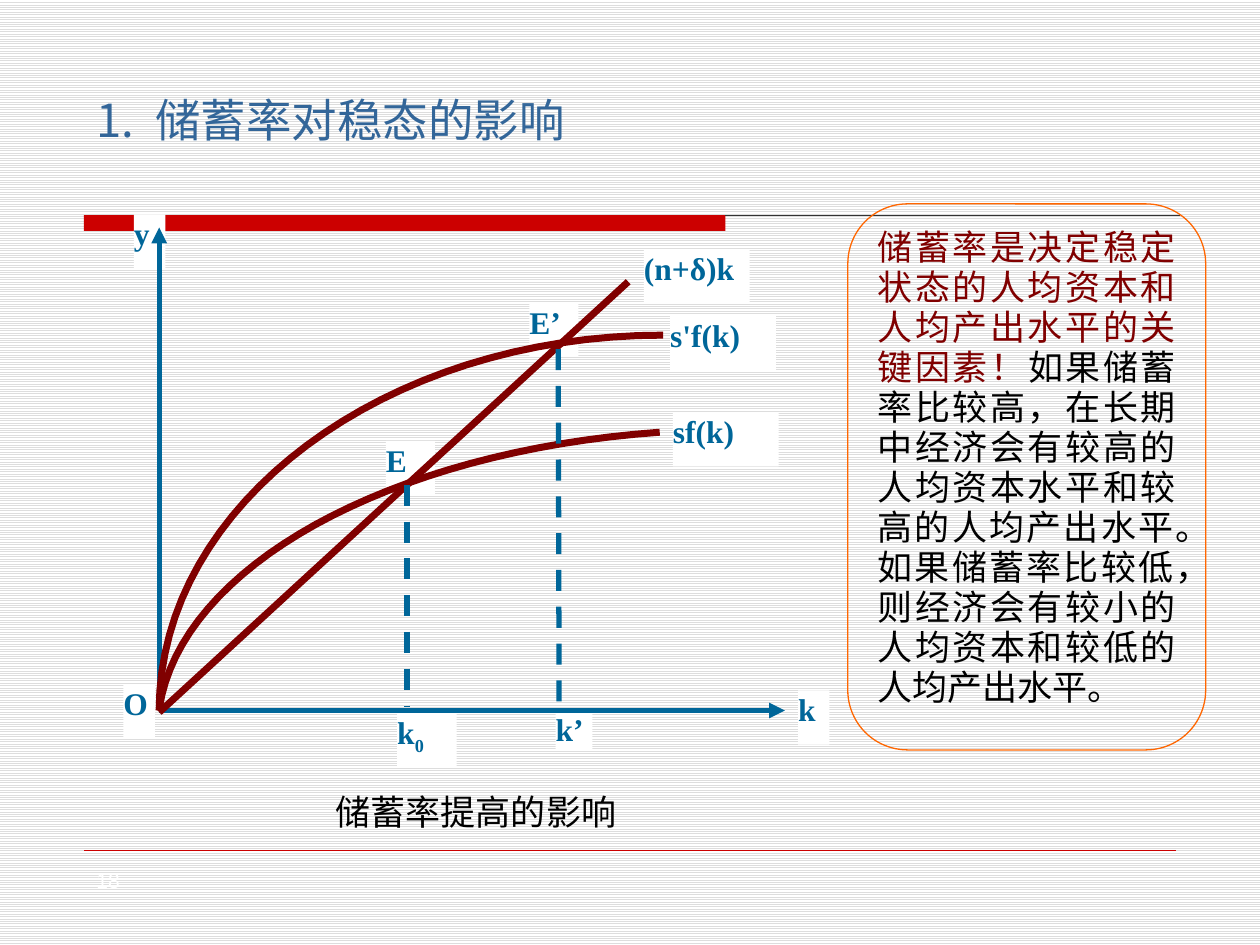
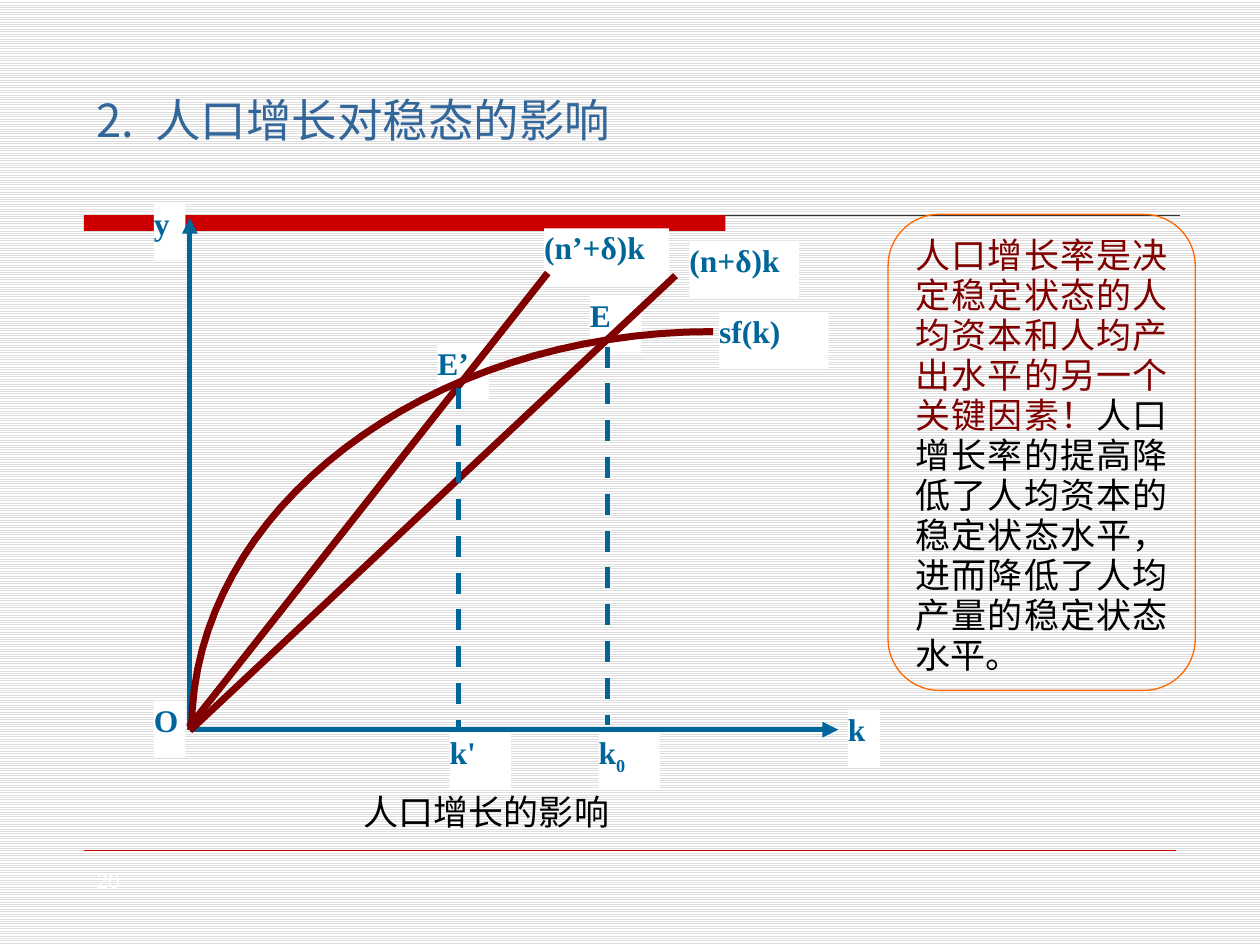
from lxml import etree
from pptx import Presentation
from pptx.dml.color import RGBColor
from pptx.enum import dml, shapes, text
from pptx.oxml import ns
from pptx.util import Pt

RED = RGBColor(0xCC, 0x00, 0x00)
MAROON = RGBColor(0x80, 0x00, 0x00)
TEAL = RGBColor(0x00, 0x66, 0x99)
TITLE_BLUE = RGBColor(0x33, 0x66, 0x99)
ORANGE = RGBColor(0xFF, 0x66, 0x00)
DARK = RGBColor(0x33, 0x33, 0x33)
BLACK = RGBColor(0x00, 0x00, 0x00)
WHITE = RGBColor(0xFF, 0xFF, 0xFF)
HATCH = RGBColor(0xDD, 0xDD, 0xDD)
CHINESE, LATIN, SERIF = "Noto Sans CJK SC", "Arial", "Times New Roman"
CURVE_STEPS = 32

# Labels are (text, left, top, width); "_" starts a subscript.
DIAGRAMS = [
    {
        "number": "1.", "title": "储蓄率对稳态的影响", "page": "18",
        "caption": "储蓄率提高的影响", "caption_box": (116, 446, 312, 30),
        "origin": (91, 406), "k_end": 448.5, "y_end": 130, "label_height": 31,
        "labels": [
            ("y", 76.5, 122.5, 18), ("(n+δ)k", 368, 142.5, 60.5),
            ("k’", 317.5, 406, 21), ("E’", 302.5, 173, 28),
            ("E", 220.5, 252, 28), ("k_0", 227, 407.5, 34),
            ("k", 456, 394.5, 18), ("O", 70.5, 391, 18),
            ("sf(k)", 384.5, 235.5, 60.5), ("s'f(k)", 383, 180.5, 60.5),
        ],
        "curves": [
            ((379, 191.5), (220, 191.5), (91, 288), (91, 406)),
            ((377, 247), (222, 258), (103, 324), (91, 405)),
        ],
        "rays": [((91, 407), (359, 161))],
        "drops": [((232.5, 277), (232.5, 404)), ((319, 199.5), (319.5, 404.5))],
        "note_box": (484.5, 116.5, 204.5, 312),
        "key_point": "储蓄率是决定稳定状态的人均资本和人均产出水平的关键因素！",
        "explanation": "如果储蓄率比较高，在长期中经济会有较高的人均资本水平和较高的人均产出水平。"
                       "如果储蓄率比较低，则经济会有较小的人均资本和较低的人均产出水平。",
    },
    {
        "number": "2.", "title": "人口增长对稳态的影响", "page": "20",
        "caption": "人口增长的影响", "caption_box": (145, 446, 266, 28),
        "origin": (108.5, 417), "k_end": 479, "y_end": 124.5, "label_height": 32.5,
        "labels": [
            ("(n’+δ)k", 311, 130.5, 71.5), ("k_0", 342, 419, 35),
            ("E’", 250, 196.5, 29.5), ("E", 337, 169, 29.5),
            ("k'", 257, 419, 35), ("k", 484.5, 405.5, 18.5),
            ("y", 88, 116.5, 18), ("O", 88, 400.5, 18),
            ("(n+δ)k", 394, 137.5, 62.5), ("sf(k)", 411, 178.5, 62.5),
        ],
        "curves": [((407.5, 189.5), (243.5, 189.5), (109.5, 291.5), (109.5, 417))],
        "rays": [((108.5, 417.5), (386, 157.5)), ((108, 415.5), (313, 156))],
        "drops": [((262, 222), (262, 415.5)), ((347, 198), (347, 414.5))],
        "note_box": (507.5, 122.5, 175.5, 272),
        "key_point": "人口增长率是决定稳定状态的人均资本和人均产出水平的另一个关键因素！",
        "explanation": "人口增长率的提高降低了人均资本的稳定状态水平，"
                       "进而降低了人均产量的稳定状态水平。",
    },
]


def add_run(paragraph, words, size, color, font, bold=False):
    """Append a run with its Latin and East Asian font; return its properties element."""
    run = paragraph.add_run()
    run.text = words
    run.font.size = Pt(size)
    run.font.bold = bold
    run.font.color.rgb = color
    run.font.name = font
    properties = run._r.get_or_add_rPr()
    etree.SubElement(properties, ns.qn("a:ea"), typeface=font)
    return properties


def add_line(slide, start, end, color, width):
    connector = slide.shapes.add_connector(
        shapes.MSO_CONNECTOR.STRAIGHT, *(Pt(value) for value in (*start, *end)))
    connector.line.color.rgb = color
    connector.line.width = Pt(width)
    etree.SubElement(connector._element.spPr, ns.qn("a:effectLst"))
    return connector


presentation = Presentation()
presentation.slide_width, presentation.slide_height = Pt(720), Pt(540)
background = presentation.slide_master.background.fill
background.patterned()
background.pattern = dml.MSO_PATTERN.LIGHT_HORIZONTAL
background.fore_color.rgb = HATCH
background.back_color.rgb = WHITE

for diagram in DIAGRAMS:
    slide = presentation.slides.add_slide(presentation.slide_layouts[5])

    # Title with a soft text shadow
    title = slide.shapes.title
    title.left, title.top, title.width, title.height = Pt(48), Pt(53), Pt(408), Pt(34)
    title.text_frame.vertical_anchor = text.MSO_ANCHOR.MIDDLE
    title.text_frame.word_wrap = True
    paragraph = title.text_frame.paragraphs[0]
    paragraph.alignment = text.PP_ALIGN.LEFT
    paragraph.line_spacing = 0.9
    for words, spacing in ((diagram["number"], 0), (" ", 600), (diagram["title"], 0)):
        properties = add_run(paragraph, words, 26, TITLE_BLUE, CHINESE)
        properties.set("spc", str(spacing))
        effects = etree.Element(ns.qn("a:effectLst"))
        shadow = etree.SubElement(effects, ns.qn("a:outerShdw"), dist="25400", dir="2700000")
        etree.SubElement(shadow, ns.qn("a:srgbClr"), val="C0C0C0")
        properties.find(ns.qn("a:solidFill")).addnext(effects)

    # Header band, footer rule and page number
    band = slide.shapes.add_shape(
        shapes.MSO_SHAPE.RECTANGLE, Pt(48), Pt(123), Pt(366.5), Pt(9))
    band.shadow.inherit = False
    band.fill.solid()
    band.fill.fore_color.rgb = RED
    band.line.fill.background()
    add_line(slide, (414.5, 123), (674.5, 123), DARK, 0.75)
    add_line(slide, (48, 486), (672, 486), RED, 0.25)
    page = slide.shapes.add_textbox(Pt(48), Pt(492), Pt(60), Pt(21))
    add_run(page.text_frame.paragraphs[0], diagram["page"], 12, WHITE, LATIN)

    # Caption under the diagram
    caption = slide.shapes.add_textbox(*(Pt(value) for value in diagram["caption_box"]))
    caption.text_frame.word_wrap = True
    paragraph = caption.text_frame.paragraphs[0]
    paragraph.alignment = text.PP_ALIGN.CENTER
    paragraph.line_spacing = Pt(26)
    add_run(paragraph, diagram["caption"], 20, BLACK, CHINESE)

    # Labels on white plates
    for words, left, top, width in diagram["labels"]:
        height = 22 if words == "k’" else diagram["label_height"]
        label = slide.shapes.add_shape(
            shapes.MSO_SHAPE.RECTANGLE, Pt(left), Pt(top), Pt(width), Pt(height))
        label.shadow.inherit = False
        label.fill.solid()
        label.fill.fore_color.rgb = WHITE
        label.line.fill.background()
        frame = label.text_frame
        frame.margin_left = frame.margin_top = frame.margin_right = frame.margin_bottom = 0
        frame.vertical_anchor = text.MSO_ANCHOR.TOP
        paragraph = frame.paragraphs[0]
        paragraph.alignment = text.PP_ALIGN.JUSTIFY
        base, _, subscript = words.partition("_")
        add_run(paragraph, base, 18, TEAL, SERIF, bold=True)
        if subscript:
            properties = add_run(paragraph, subscript, 18, TEAL, SERIF, bold=True)
            properties.set("baseline", "-25000")

    # Axes
    origin_x, origin_y = diagram["origin"]
    for end in ((diagram["k_end"], origin_y), (origin_x, diagram["y_end"])):
        axis = add_line(slide, diagram["origin"], end, TEAL, 3)
        etree.SubElement(axis.line._get_or_add_ln(), ns.qn("a:tailEnd"), type="triangle")

    # Saving curves, sampled from their cubic control points
    for controls in diagram["curves"]:
        points = []
        for step in range(CURVE_STEPS + 1):
            t = step / CURVE_STEPS
            weights = ((1 - t) ** 3, 3 * t * (1 - t) ** 2, 3 * t * t * (1 - t), t ** 3)
            points.append(tuple(
                Pt(sum(weight * control[axis] for weight, control in zip(weights, controls)))
                for axis in (0, 1)))
        builder = slide.shapes.build_freeform(*points[0])
        builder.add_line_segments(points[1:], close=False)
        curve = builder.convert_to_shape()
        curve.shadow.inherit = False
        curve.fill.background()
        curve.line.color.rgb = MAROON
        curve.line.width = Pt(4)

    # Break-even rays and dashed drops to the k axis
    for start, end in diagram["rays"]:
        add_line(slide, start, end, MAROON, 4)
    for start, end in diagram["drops"]:
        add_line(slide, start, end, TEAL, 3).line.dash_style = dml.MSO_LINE.DASH

    # Explanation
    note = slide.shapes.add_shape(
        shapes.MSO_SHAPE.ROUNDED_RECTANGLE, *(Pt(value) for value in diagram["note_box"]))
    note.adjustments[0] = 0.167
    note.shadow.inherit = False
    note.fill.background()
    note.line.color.rgb = ORANGE
    note.line.width = Pt(0.75)
    note.text_frame.word_wrap = True
    note.text_frame.vertical_anchor = text.MSO_ANCHOR.TOP
    paragraph = note.text_frame.paragraphs[0]
    paragraph.alignment = text.PP_ALIGN.JUSTIFY
    paragraph.line_spacing = Pt(22.86)
    add_run(paragraph, diagram["key_point"], 20, MAROON, CHINESE)
    add_run(paragraph, diagram["explanation"], 20, BLACK, CHINESE)

presentation.save("out.pptx")
